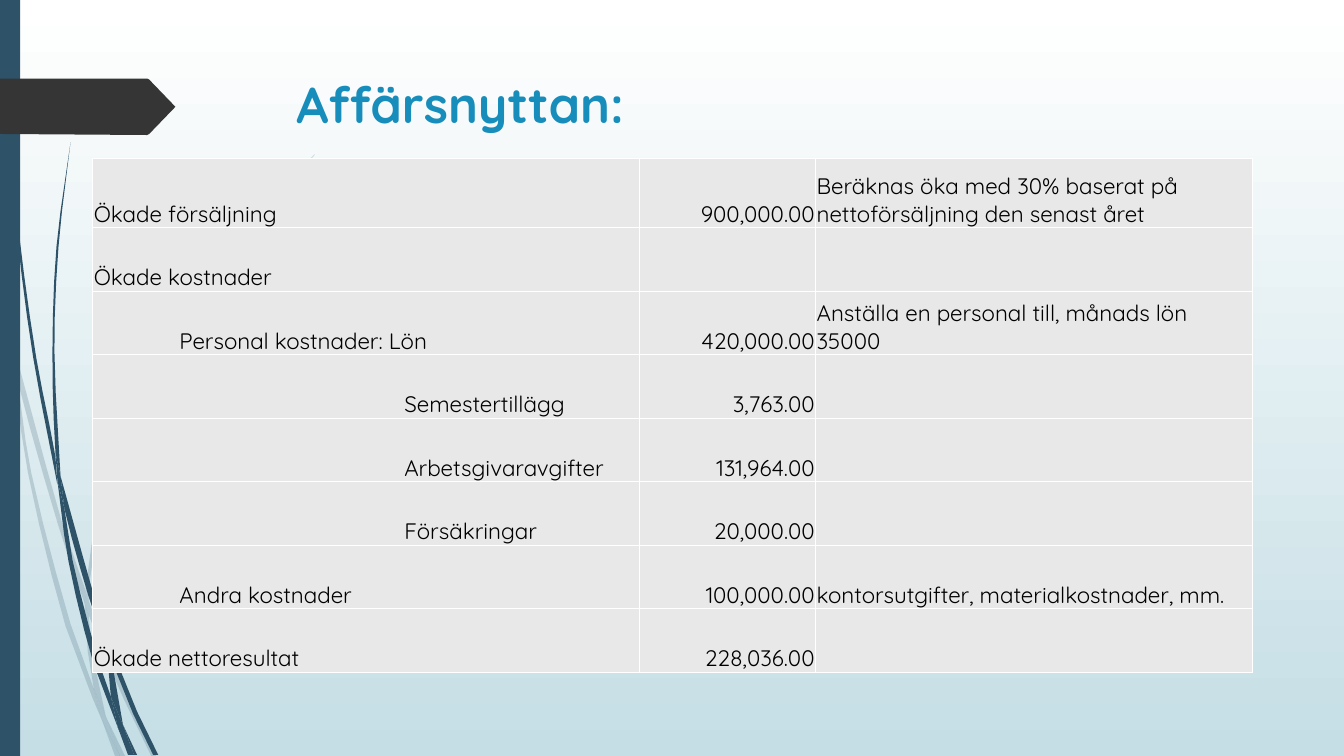
from math import hypot
from lxml import etree
from pptx import Presentation
from pptx.dml.color import RGBColor
from pptx.enum import shapes, text
from pptx.oxml.ns import qn
from pptx.util import Inches, Pt

# Content
HEAD = "Affärsnyttan:"
ROWS = [  # indent level, label, amount, note
    (0, "Ökade försäljning", "900,000.00",
     "Beräknas öka med 30% baserat på nettoförsäljning den senast året"),
    (0, "Ökade kostnader", "", ""),
    (1, "Personal kostnader: Lön", "420,000.00", "Anställa en personal till, månads lön 35000"),
    (2, "Semestertillägg", "3,763.00", ""),
    (2, "Arbetsgivaravgifter", "131,964.00", ""),
    (2, "Försäkringar", "20,000.00", ""),
    (1, "Andra kostnader", "100,000.00", "kontorsutgifter, materialkostnader, mm."),
    (0, "Ökade nettoresultat", "228,036.00", ""),
]
COLS = [5.42, 1.75, 4.33]
INDENT = [0, 0.85, 3.08]
FONT = "Quicksand"
HEX = dict(top="FFFFFF", low="C5DEE5", navy="2E5369", tag="353535",
           head="178DBB", cell="E8E8E8", rule="FFFFFF", ink="000000")

# Outlines of the grass blades, in inches
PALE = [
    [(.11, 3.5), (.09, 3.22), (0, 2.82), (0, 2.99), (.1, 3.44)],
    [(.58, 5.22), (.84, 5.99), (.85, 5.86), (.62, 5.2), (.14, 3.45), (.17, 3.76)],
    [(.92, 6.07), (.88, 5.96), (.88, 6.1), (1.23, 6.94), (1.5, 7.5), (1.55, 7.5), (1.27, 6.92)],
    [(1.19, 7.5), (1.24, 7.5), (1.05, 7.11)],
    [(.93, 6.83), (.7, 6.19), (.31, 4.69), (.17, 3.76), (.11, 3.5), (.28, 4.7),
     (.65, 6.21), (.92, 6.93), (1.01, 7.14)],
    [(.84, 5.99), (.87, 6.46), (.93, 6.83), (1.05, 7.11), (.91, 6.46), (.88, 6.1)],
    [(.88, 5.84), (1.1, 4.62), (1.6, 3.49), (2.29, 2.45), (3.12, 1.54), (3.12, 1.53),
     (2.28, 2.44), (1.58, 3.48), (1.07, 4.61), (.85, 5.84), (.88, 5.96)],
    [(1.01, 7.14), (1.14, 7.5), (1.19, 7.5)],
    [(.88, 6.1), (.88, 5.96), (.85, 5.86), (.84, 5.99)],
    [(.93, 6.83), (1.01, 7.14), (1.19, 7.5), (1.05, 7.11)],
]
DARK = [
    [(.07, 1.1), (.17, 2.33), (.33, 3.55), (.57, 4.81), (.55, 4.53),
     (.36, 3.55), (.19, 2.32), (.08, 1.09), (.04, 0), (.03, 0)],
    [(.88, 5.92), (1.06, 6.45), (1.06, 6.31), (.93, 5.9), (.6, 4.72), (.64, 5.05)],
    [(1.13, 6.49), (1.1, 6.41), (1.11, 6.56), (1.32, 7.08), (1.52, 7.49), (1.57, 7.49), (1.36, 7.06)],
    [(1.1, 6.91), (.98, 6.57), (.72, 5.56), (.64, 5.05), (.57, 4.77), (.68, 5.57), (.93, 6.59),
     (1.17, 7.22)],
    [(.6, 4.72), (.54, 3.49), (.58, 2.45), (.7, 1.41), (.56, 2.45), (.52, 3.49), (.55, 4.49)],
    [(1.33, 7.49), (1.36, 7.49), (1.22, 7.19)],
    [(.57, 4.77), (.64, 5.05), (.6, 4.72), (.55, 4.49)],
    [(1.11, 6.33), (1.25, 5.52), (1.58, 4.76), (2.05, 4.06), (2.61, 3.44), (2.6, 3.44),
     (2.04, 4.05), (1.56, 4.74), (1.22, 5.51), (1.06, 6.31), (1.1, 6.41)],
    [(1.17, 7.22), (1.27, 7.49), (1.31, 7.49)],
    [(1.06, 6.45), (1.1, 6.91), (1.22, 7.19), (1.11, 6.56)],
    [(1.06, 6.45), (1.11, 6.56), (1.1, 6.41), (1.06, 6.31)],
    [(1.1, 6.91), (1.17, 7.22), (1.3, 7.49), (1.33, 7.49), (1.22, 7.19)],
]
TAG = [(1.74, 1.06), (1.48, 1.33), (1.46, 1.34), (0, 1.33), (0, .78), (1.46, .78), (1.48, .79)]

deck = Presentation()
deck.slide_width, deck.slide_height = Inches(13.33), Inches(7.5)
page = deck.slides.add_slide(deck.slide_layouts[6])


def rgb(name):
    return RGBColor.from_string(HEX[name])


def paint(shape, color, alpha=None):
    shape.shadow.inherit = False
    shape.fill.solid()
    shape.fill.fore_color.rgb = rgb(color)
    shape.line.fill.background()
    if alpha:
        tint = shape.fill._xPr.find(".//" + qn("a:srgbClr"))
        etree.SubElement(tint, qn("a:alpha")).set("val", str(alpha * 1000))


def slope(pts, i):
    """Unit direction at point i, or None at a sharp corner."""
    (ax, ay), (bx, by), (cx, cy) = pts[i - 1], pts[i], pts[(i + 1) % len(pts)]
    one, two = hypot(bx - ax, by - ay), hypot(cx - bx, cy - by)
    turn = ((bx - ax) * (cx - bx) + (by - ay) * (cy - by)) / (one * two)
    span = hypot(cx - ax, cy - ay)
    return ((cx - ax) / span, (cy - ay) / span) if turn > 0.8 else None


def smooth(pts):
    """Round the long sides; leave the short ones straight."""
    out = []
    for i, a in enumerate(pts):
        j = (i + 1) % len(pts)
        b = pts[j]
        size = hypot(b[0] - a[0], b[1] - a[1])
        chord = ((b[0] - a[0]) / size, (b[1] - a[1]) / size)
        m, n = slope(pts, i) or chord, slope(pts, j) or chord
        steps = 3 if size > 0.8 else 1
        for t in (k / steps for k in range(steps)):
            out.append(tuple(
                (2 * t**3 - 3 * t**2 + 1) * a[d] + (3 * t**2 - 2 * t**3) * b[d]
                + size * ((t**3 - 2 * t**2 + t) * m[d] + (t**3 - t**2) * n[d])
                for d in (0, 1)))
    return out


def outline(pts, color, alpha=None):
    dots = [(Inches(x), Inches(y)) for x, y in pts]
    form = page.shapes.build_freeform(*dots[0])
    form.add_line_segments(dots[1:], close=True)
    paint(form.convert_to_shape(), color, alpha)


def write(frame, words, size=16, color="ink", bold=False, align="LEFT", indent=0):
    frame.word_wrap = True
    para = frame.paragraphs[0]
    para.alignment = getattr(text.PP_ALIGN, align)
    if indent:
        para._p.get_or_add_pPr().set("marL", str(Inches(indent)))
    run = para.add_run()
    run.text = words
    font = run.font
    font.name, font.size, font.bold = FONT, Pt(size), bold
    font.color.rgb = rgb(color)


def rule(cell):
    props = cell._tc.get_or_add_tcPr()
    for i, side in enumerate("LRTB"):
        line = etree.Element(qn("a:ln" + side), w=str(Pt(1)))
        fill = etree.SubElement(line, qn("a:solidFill"))
        etree.SubElement(fill, qn("a:srgbClr"), val=HEX["rule"])
        props.insert(i, line)


# Background
back = page.background.fill
back.gradient()
back.gradient_angle = 270
for stop, name in zip(back.gradient_stops, ("top", "low")):
    stop.color.rgb = rgb(name)

# Grass, side bar and tag
for blades, alpha in ((PALE, 20), (DARK, None)):
    for blade in blades:
        outline(smooth(blade), "navy", alpha)
bar = page.shapes.add_shape(shapes.MSO_SHAPE.RECTANGLE, 0, 0, Inches(0.2), Inches(7.5))
paint(bar, "navy")
outline(TAG, "tag")

# Table
grid = page.shapes.add_table(len(ROWS), len(COLS), Inches(0.92), Inches(1.57),
                             Inches(sum(COLS)), Inches(5.09)).table
grid.first_row = grid.horz_banding = False
for col, wide in zip(grid.columns, COLS):
    col.width = Inches(wide)
for r, (level, *words) in enumerate(ROWS):
    grid.rows[r].height = Inches(0.63 if r else 0.69)
    for c, word in enumerate(words):
        cell = grid.cell(r, c)
        cell.fill.solid()
        cell.fill.fore_color.rgb = rgb("cell")
        rule(cell)
        cell.margin_left = cell.margin_right = cell.margin_top = Inches(0.01)
        cell.margin_bottom = 0
        cell.vertical_anchor = text.MSO_ANCHOR.BOTTOM
        if word:
            write(cell.text_frame, word, align="RIGHT" if c == 1 else "LEFT",
                  indent=0 if c else INDENT[level])

# Title
box = page.shapes.add_textbox(Inches(2.84), Inches(0.68), Inches(9.75), Inches(1.4))
write(box.text_frame, HEAD, size=36, color="head", bold=True)

deck.save("out.pptx")
